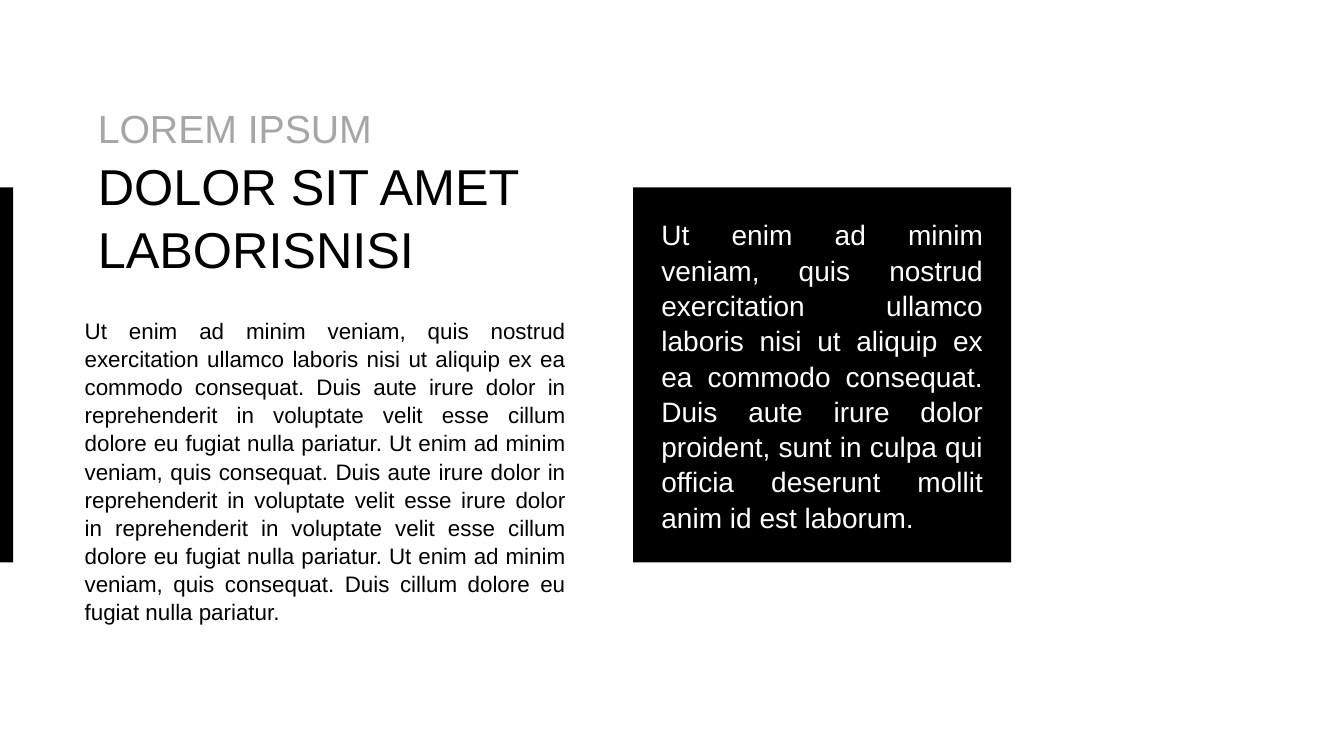
from dataclasses import dataclass

import pptx
import pptx.dml.color
import pptx.enum.shapes
import pptx.enum.text
import pptx.util

Inches = pptx.util.Inches
ALIGN = pptx.enum.text.PP_ALIGN
ANCHOR = pptx.enum.text.MSO_ANCHOR


@dataclass(frozen=True)
class Theme:
    font: str = "Arial"
    black: str = "000000"
    white: str = "FFFFFF"
    grey: str = "A6A6A6"
    kicker: int = 28
    title: int = 36
    quote: int = 20
    body: int = 16
    line_spacing: float = 1.05


THEME = Theme()

BODY = (
    "Ut enim ad minim veniam, quis nostrud exercitation ullamco laboris nisi ut "
    "aliquip ex ea commodo consequat. Duis aute irure dolor in reprehenderit in "
    "voluptate velit esse cillum dolore eu fugiat nulla pariatur. Ut enim ad minim "
    "veniam, quis consequat. Duis aute irure dolor in reprehenderit in voluptate "
    "velit esse irure dolor in reprehenderit in voluptate velit esse cillum dolore "
    "eu fugiat nulla pariatur. Ut enim ad minim veniam, quis consequat. Duis cillum "
    "dolore eu fugiat nulla pariatur."
)
QUOTE = (
    "Ut enim ad minim veniam, quis nostrud exercitation ullamco laboris nisi ut "
    "aliquip ex ea commodo consequat. Duis aute irure dolor proident, sunt in culpa "
    "qui officia deserunt mollit anim id est laborum."
)


def rgb(color):
    return pptx.dml.color.RGBColor.from_string(color)


def add_block(slide, box, color):
    """Add a plain filled rectangle without outline."""
    sp = slide.shapes.add_shape(
        pptx.enum.shapes.MSO_SHAPE.RECTANGLE, *map(Inches, box))
    sp.shadow.inherit = False
    sp.fill.solid()
    sp.fill.fore_color.rgb = rgb(color)
    sp.line.fill.background()
    return sp


def write(sp, lines, align, anchor, inset):
    """Fill a shape with paragraphs given as (text, size, color)."""
    tf = sp.text_frame
    tf.word_wrap = True
    tf.vertical_anchor = anchor
    tf.margin_left = tf.margin_right = Inches(inset)
    tf.margin_top = tf.margin_bottom = Inches(inset)
    tf.text = "\n".join(text for text, _, _ in lines)
    for p, (_, size, color) in zip(tf.paragraphs, lines):
        p.alignment = align
        p.line_spacing = THEME.line_spacing
        font = p.runs[0].font
        font.name = THEME.font
        font.size = pptx.util.Pt(size)
        font.color.rgb = rgb(color)


def add_heading(slide, box):
    lines = [
        ("LOREM IPSUM", THEME.kicker, THEME.grey),
        ("DOLOR SIT AMET", THEME.title, THEME.black),
        ("LABORISNISI", THEME.title, THEME.black),
    ]
    sp = add_block(slide, box, THEME.white)
    write(sp, lines, ALIGN.LEFT, ANCHOR.MIDDLE, 0.2)


def add_body(slide, box):
    sp = slide.shapes.add_textbox(*map(Inches, box))
    write(sp, [(BODY, THEME.body, THEME.black)], ALIGN.JUSTIFY, ANCHOR.TOP, 0.2)


def add_quote(slide, box):
    sp = add_block(slide, box, THEME.black)
    write(sp, [(QUOTE, THEME.quote, THEME.white)], ALIGN.JUSTIFY, ANCHOR.MIDDLE, 0.28)


def main():
    prs = pptx.Presentation()
    prs.slide_width, prs.slide_height = Inches(13.33), Inches(7.5)
    slide = prs.slides.add_slide(prs.slide_layouts[6])

    band_top, band_height = 1.86, 3.72
    add_block(slide, (0, band_top, 0.13, band_height), THEME.black)
    add_heading(slide, (0.77, 0.85, 5.04, 2.08))
    add_body(slide, (0.64, 2.93, 5.17, 2.66))
    add_quote(slide, (6.28, band_top, 3.75, band_height))

    prs.save("out.pptx")


if __name__ == "__main__":
    main()
